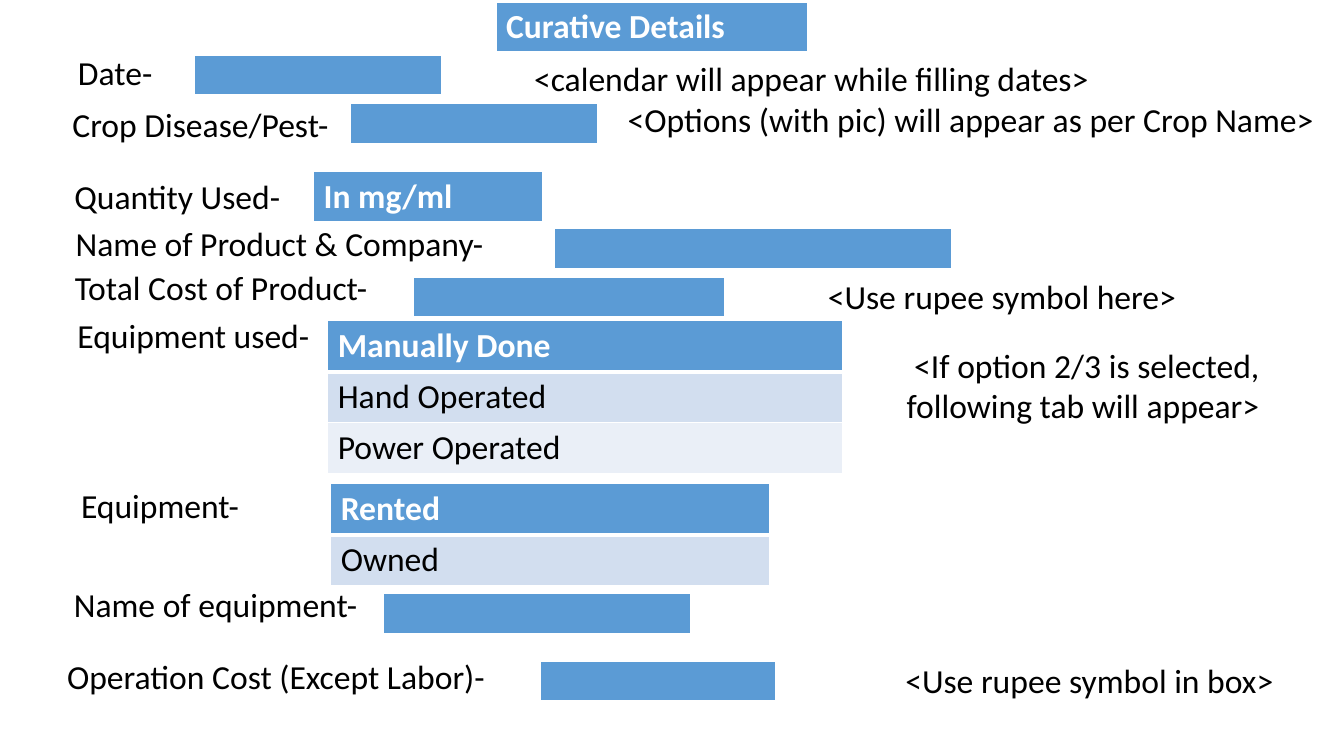
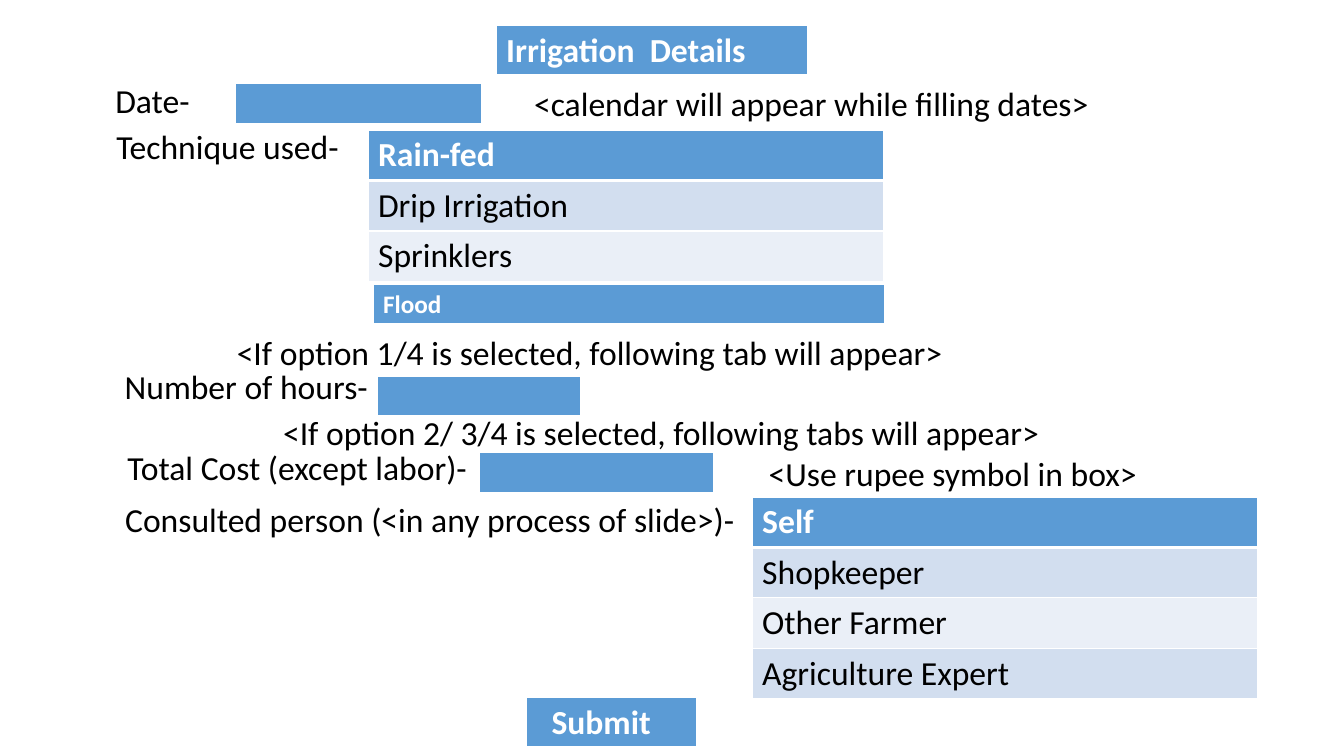
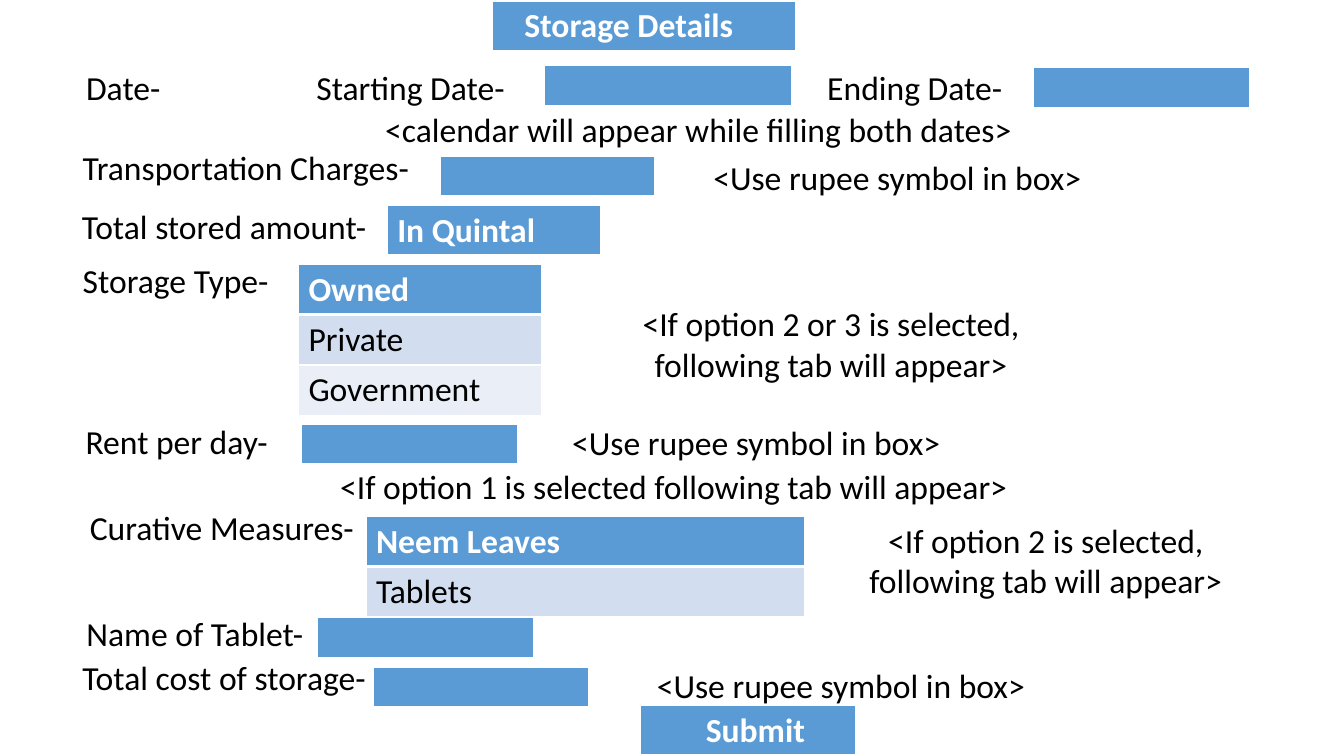
from lxml.etree import SubElement
from pptx import Presentation
from pptx.dml.color import RGBColor
from pptx.enum.text import PP_ALIGN
from pptx.oxml.ns import qn
from pptx.util import Inches, Pt

UNIT = 0.1  # inches in one grid column, and in one grid row
FONT = "Calibri"
TEXT_SIZE, SMALL_SIZE = 24, 18
BLACK, WHITE, BLUE = "000000", "FFFFFF", "5B9BD5"
BANDS = ["D2DEEF", "EAEFF7"]
LINE_ROWS, CELL_ROWS = 5, 4.06
THIN, THICK = 1, 3
INDENT = 1
CALENDAR = "<calendar will appear while filling dates> "
RUPEE = "<Use rupee symbol in box>"


def grid(units):
    return Inches(units * UNIT)


def color(code):
    return RGBColor.from_string(code)


def write(frame, text, size=TEXT_SIZE, ink=BLACK, bold=False, align=PP_ALIGN.LEFT):
    """Fill a text frame with one paragraph for each line of text."""
    for index, line in enumerate(text.split("\n")):
        para = frame.add_paragraph() if index else frame.paragraphs[0]
        para.alignment = align
        span = para.add_run()
        span.text = line
        span.font.name = FONT
        span.font.size = Pt(size)
        span.font.bold = bold
        span.font.color.rgb = color(ink)


def add_caption(page, text, column, row, columns, lines=1):
    """Add a centred label or hint."""
    box = page.shapes.add_textbox(grid(column), grid(row), grid(columns),
                                  grid(1 + 4 * lines))
    box.text_frame.word_wrap = True
    write(box.text_frame, text, align=PP_ALIGN.CENTER)


def set_borders(cell, top, bottom):
    properties = cell._tc.get_or_add_tcPr()
    for side, width in (("L", THIN), ("R", THIN), ("T", top), ("B", bottom)):
        line = SubElement(properties, qn(f"a:ln{side}"), w=str(Pt(width)))
        SubElement(SubElement(line, qn("a:solidFill")), qn("a:srgbClr"), val=WHITE)


def add_field(page, column, row, columns, choices=("",), size=TEXT_SIZE, indent=INDENT):
    """Add a field: empty, with one entry, or with a list of choices.

    Rows grow to hold large text, so the frame is taller than their least height.
    """
    large = choices[0] and size == TEXT_SIZE
    frame = page.shapes.add_table(len(choices), 1, grid(column), grid(row),
                                  grid(columns), grid(CELL_ROWS * len(choices)))
    frame.height = grid((LINE_ROWS if large else CELL_ROWS) * len(choices))
    for index, choice in enumerate(choices):
        cell = frame.table.cell(index, 0)
        first = index == 0
        set_borders(cell, THICK if index == 1 else THIN, THICK if first else THIN)
        cell.fill.solid()
        cell.fill.fore_color.rgb = color(BLUE if first else BANDS[(index - 1) % 2])
        cell.margin_left = grid(indent)
        if choice:
            write(cell.text_frame, choice, size=size,
                  ink=WHITE if first else BLACK, bold=first)


def add_form(deck, captions, fields):
    page = deck.slides.add_slide(deck.slide_layouts[6])
    for field in fields:
        add_field(page, *field)
    for caption in captions:
        add_caption(page, *caption)


# Captions: text, column, row, columns, lines.
# Fields: column, row, columns, choices, size, indent. The first is the heading.
CURATIVE = dict(
    captions=[
        ("Date- ", 0, 4.7, 23.6),
        (CALENDAR, 43.2, 5.3, 75.3),
        ("Crop Disease/Pest- ", 0, 9.8, 40.5),
        ("<Options (with pic) will appear as per Crop Name> ", 60, 9.3, 73.3),
        ("Quantity Used- ", 0.9, 16.95, 34.1),
        ("Name of Product & Company- ", 4.25, 21.6, 47.7),
        ("Total Cost of Product- ", 4.4, 26, 35.8),
        ("<Use rupee symbol here> ", 72, 26.9, 55.5),
        ("Equipment used- ", 0, 30.8, 39.1),
        ("<If option 2/3 is selected, following tab will appear> ", 85.8, 33.7, 44, 2),
        ("Equipment- ", 0, 47.6, 32.5),
        ("Name of equipment- ", 1, 57.4, 41.5),
        ("Operation Cost (Except Labor)- ", 4.3, 64.6, 46.9),
        (RUPEE, 87.4, 65, 41.3),
    ],
    fields=[
        (49.2, 0.2, 30.9, ["Curative Details"]),
        (19.3, 5.5, 24.5),
        (34.8, 10.3, 24.5),
        (31.1, 17, 22.7, ["In mg/ml"]),
        (55, 22.7, 39.4),
        (41, 27.5, 30.9),
        (32.5, 31.8, 51.1, ["Manually Done", "Hand Operated", "Power Operated"]),
        (32.8, 48, 43.5, ["Rented", "Owned"]),
        (38, 58.9, 30.5),
        (53.6, 65.6, 23.3),
    ],
)

IRRIGATION = dict(
    captions=[
        ("Date- ", 0.5, 7.4, 30),
        (CALENDAR, 43.2, 7.7, 75.3),
        ("Technique used- ", 0.3, 12, 45.3),
        ("<If option 1/4 is selected, following tab will appear> ", 18.4, 32.4, 80.9),
        ("Number of hours- ", 3.1, 35.8, 43.4),
        ("<If option 2/ 3/4 is selected, following tabs will appear> ", 18.4, 40.4, 95.1),
        ("Total Cost (except labor)- ", 9.4, 43.8, 40.9),
        (RUPEE, 65.5, 44.4, 58),
        ("Consulted person (<in any process of slide>)- ", 8.45, 49, 69.1),
    ],
    fields=[
        (49.2, 2.5, 30.9, ["Irrigation  Details"]),
        (23.3, 8.3, 24.5),
        (36.5, 12.9, 51.1, ["Rain-fed", "Drip Irrigation", "Sprinklers"]),
        (37, 28.2, 50.7, ["Flood"], SMALL_SIZE),
        (37.4, 37.3, 20.2),
        (47.5, 44.9, 23.3),
        (74.6, 49.3, 50.1, ["Self", "Shopkeeper", "Other Farmer", "Agriculture Expert"]),
        (52.2, 69.2, 16.9, ["Submit"], TEXT_SIZE, 2.5),
    ],
)

STORAGE = dict(
    captions=[
        ("Date- ", 0, 6.1, 25.2),
        ("Starting Date- ", 26.1, 6.1, 30),
        ("Ending Date- ", 76.1, 6.1, 30),
        ("<calendar will appear while filling both dates> ", 32, 10.3, 75.3),
        ("Transportation Charges- ", 4.7, 14.1, 40.1),
        (RUPEE, 64.4, 15.1, 49.2),
        ("Total stored amount- ", 6.1, 19.9, 33),
        ("Storage Type- ", 2.8, 25.3, 30),
        ("<If option 2 or 3 is selected, \nfollowing tab will appear> ", 60.6, 29.6, 44.4, 2),
        ("Rent per day- ", 2.9, 41.3, 30),
        (RUPEE, 50.4, 41.4, 49.2),
        ("<If option 1 is selected following tab will appear> ", 20.4, 45.7, 93.6),
        ("Curative Measures-", 1.95, 49.8, 40.1),
        ("<If option 2 is selected, \nfollowing tab will appear> ", 81.9, 51.1, 44.4, 2),
        ("Name of Tablet- ", 3.2, 60.3, 33),
        ("Total cost of storage- ", 6.1, 64.7, 33),
        (RUPEE, 58.8, 65.5, 49.2),
    ],
    fields=[
        (48.8, 0.1, 30.1, ["Storage Details"], TEXT_SIZE, 3.2),
        (54, 6.5, 24.5),
        (102.5, 6.7, 21.4),
        (43.7, 15.5, 21.2),
        (38.4, 20.4, 21.2, ["In Quintal"]),
        (29.6, 26.2, 24.1, ["Owned", "Private", "Government"]),
        (29.9, 42.1, 21.4),
        (36.3, 51.2, 43.5, ["Neem Leaves", "Tablets"]),
        (31.5, 61.3, 21.4),
        (37, 66.2, 21.4),
        (63.5, 70, 21.4, ["Submit"], TEXT_SIZE, 6.5),
    ],
)


def main():
    deck = Presentation()
    deck.slide_width, deck.slide_height = Inches(13.33), Inches(7.5)
    for form in (CURATIVE, IRRIGATION, STORAGE):
        add_form(deck, **form)
    deck.save("out.pptx")


if __name__ == "__main__":
    main()
